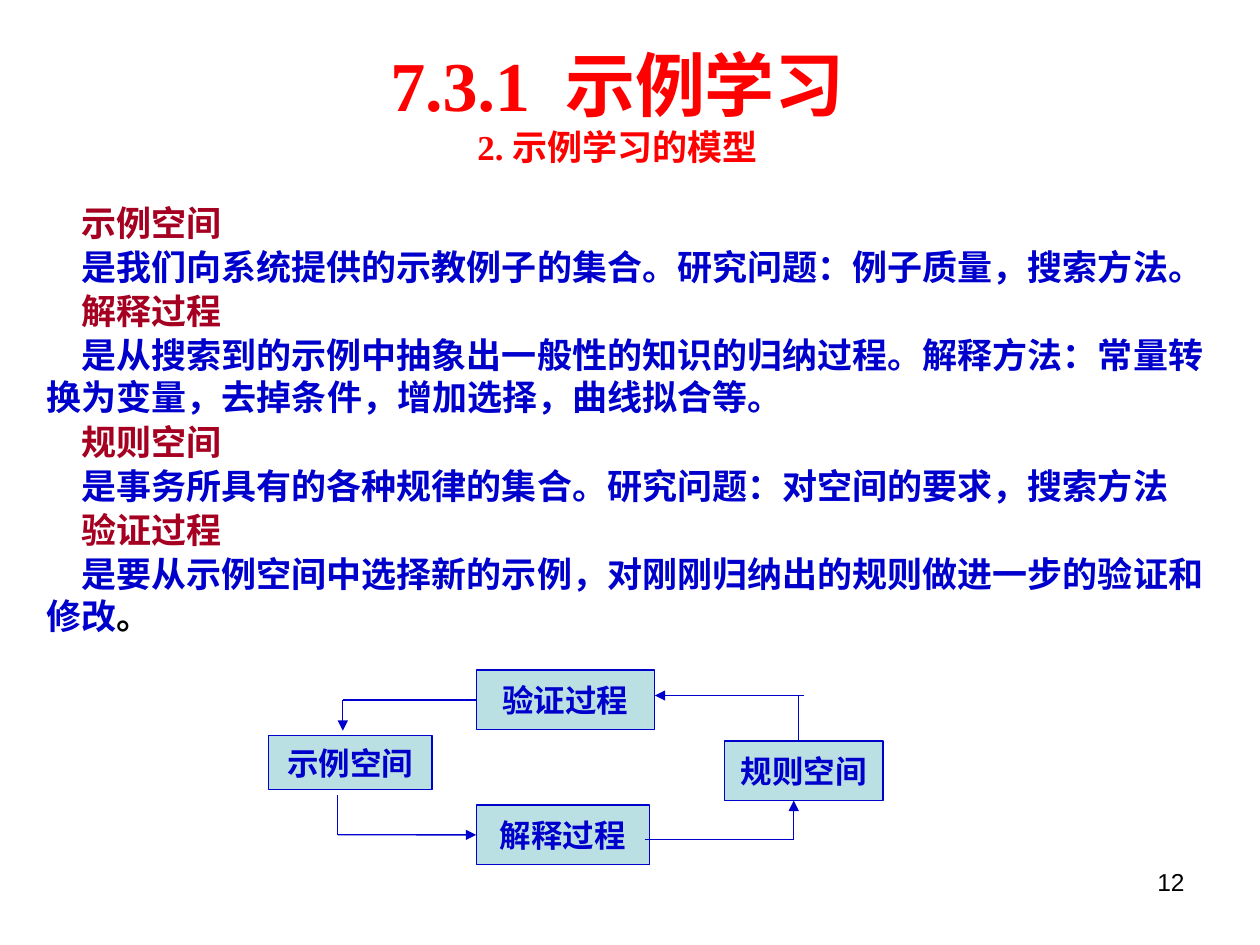
"""Build the slide on the model of learning from examples."""
from lxml import etree
from pptx import Presentation
from pptx import util as u
from pptx.dml.color import RGBColor
from pptx.enum import shapes, text
from pptx.oxml.ns import qn

COLORS = {"title": "FF0000", "term": "A50021", "blue": "0000CC", "box": "BBE0E3", "black": "000000"}


def add_text(paragraph, words, size=20, color="blue", font="Times New Roman", bold=True, align=None):
    run = paragraph.add_run()
    run.text = words
    run.font.size = u.Pt(size)
    run.font.bold = bold
    run.font.name = font
    run.font.color.rgb = RGBColor.from_string(COLORS[color])
    if align is not None:
        paragraph.alignment = align


deck = Presentation()
deck.slide_width, deck.slide_height = u.Cm(25.4), u.Cm(19.05)
slide = deck.slides.add_slide(deck.slide_layouts[5])
center = text.PP_ALIGN.CENTER

heading = slide.shapes.title
heading.left, heading.top, heading.width, heading.height = u.Cm(1.9), u.Cm(0.71), u.Cm(21.1), u.Cm(2.8)
heading_frame = heading.text_frame
heading_frame.auto_size = text.MSO_AUTO_SIZE.NONE
heading_frame.vertical_anchor = text.MSO_ANCHOR.TOP
add_text(heading_frame.paragraphs[0], "7.3.1  示例学习", size=40, color="title", align=center)
add_text(heading_frame.add_paragraph(), "2. 示例学习的模型", color="title", align=center)

definitions = [
    ("示例空间", "是我们向系统提供的示教例子的集合。研究问题：例子质量，搜索方法。"),
    ("解释过程", "是从搜索到的示例中抽象出一般性的知识的归纳过程。解释方法：常量转换为变量，去掉条件，增加选择，曲线拟合等。"),
    ("规则空间", "是事务所具有的各种规律的集合。研究问题：对空间的要求，搜索方法"),
    ("验证过程", "是要从示例空间中选择新的示例，对刚刚归纳出的规则做进一步的验证和修改"),
]
body = slide.shapes.add_textbox(u.Cm(0.69), u.Cm(3.94), u.Cm(24), u.Cm(9.04)).text_frame
body.word_wrap = True
paragraph = body.paragraphs[0]
for term, meaning in definitions:
    for words, color in ((term, "term"), (meaning, "blue")):
        if paragraph.runs:
            paragraph = body.add_paragraph()
            paragraph.space_before = u.Pt(1.2)
        paragraph._p.get_or_add_pPr().set("indent", str(u.Cm(0.7)))
        add_text(paragraph, words, color=color)
add_text(paragraph, "。", color="black")

stages = {}
for name, left, top, width, height in [
    ("示例空间", 5.41, 14.83, 3.3, 1.09),
    ("规则空间", 14.6, 14.94, 3.2, 1.2),
    ("验证过程", 9.6, 13.51, 3.6, 1.2),
    ("解释过程", 9.6, 16.23, 3.5, 1.2),
]:
    stage = slide.shapes.add_shape(shapes.MSO_SHAPE.RECTANGLE, u.Cm(left), u.Cm(top), u.Cm(width), u.Cm(height))
    stage.shadow.inherit = False
    stage.fill.solid()
    stage.fill.fore_color.rgb = RGBColor.from_string(COLORS["box"])
    stage.line.color.rgb = RGBColor.from_string(COLORS["blue"])
    stage.line.width = u.Pt(0.75)
    stage.text_frame.word_wrap = False
    stage.text_frame.vertical_anchor = text.MSO_ANCHOR.MIDDLE
    add_text(stage.text_frame.paragraphs[0], name, size=18, font="Arial", align=center)
    stages[name] = stage

for x1, y1, x2, y2, arrow, target in [
    (6.91, 14.11, 6.91, 14.73, True, None),
    (6.91, 14.11, 9.6, 14.11, False, "验证过程"),
    (6.81, 16.03, 6.81, 16.83, False, None),
    (6.81, 16.83, 9.6, 16.83, True, "解释过程"),
    (13, 16.92, 16, 16.92, False, None),
    (16, 16.92, 16, 16.14, True, None),
    (16.2, 14.02, 13.2, 14.02, True, None),
    (16.1, 14.02, 16.1, 14.94, False, None),
]:
    flow = slide.shapes.add_connector(shapes.MSO_CONNECTOR.STRAIGHT, u.Cm(x1), u.Cm(y1), u.Cm(x2), u.Cm(y2))
    flow.line.color.rgb = RGBColor.from_string(COLORS["blue"])
    flow.line.width = u.Pt(0.75)
    if arrow:
        etree.SubElement(flow.line._get_or_add_ln(), qn("a:tailEnd"), type="triangle")
    etree.SubElement(flow._element.spPr, qn("a:effectLst"))
    if target:
        flow.end_connect(stages[target], 1)

page = slide.shapes.add_textbox(u.Cm(18.2), u.Cm(17.35), u.Cm(5.93), u.Cm(1.32)).text_frame
page.word_wrap = True
add_text(page.paragraphs[0], "12", size=14, color="black", font="Arial", bold=False, align=text.PP_ALIGN.RIGHT)

deck.save("out.pptx")
